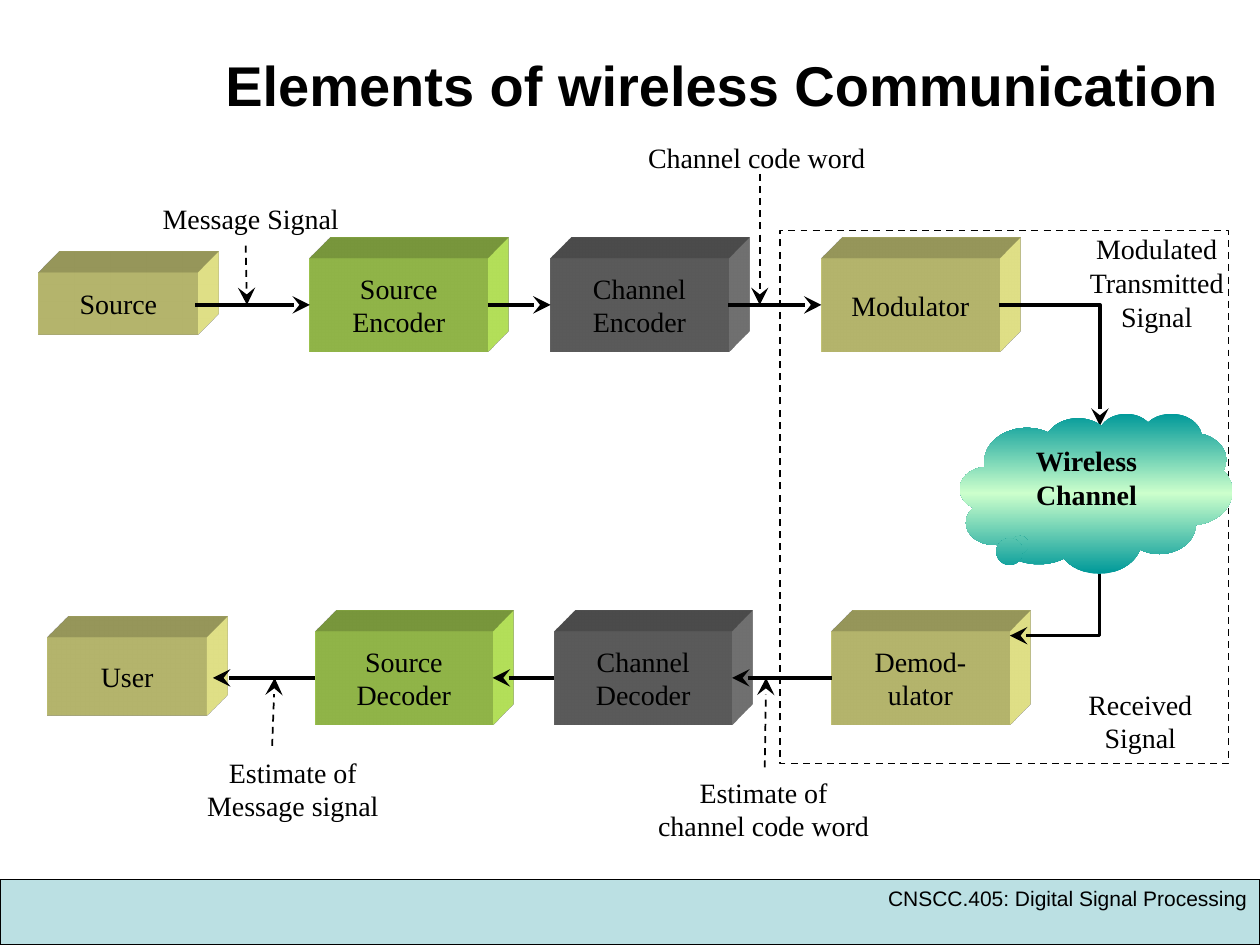
from copy import deepcopy

from lxml import etree
from pptx import Presentation
from pptx.dml.color import RGBColor
from pptx.enum.dml import MSO_LINE
from pptx.enum.shapes import MSO_CONNECTOR as CONN, MSO_SHAPE as SHAPE
from pptx.enum.text import MSO_ANCHOR as ANCHOR, PP_ALIGN as ALIGN
from pptx.oxml import parse_xml
from pptx.oxml.ns import nsdecls, qn
from pptx.util import Inches, Pt

KHAKI, LIME, GRAY = "FFFF99", "CCFF66", "808080"
BLACK, TEAL, MINT, FOOTER = "000000", "009999", "CCFFCC", "BBE0E3"
BOX_W, BOX_H = 1.41, 0.74
TOP_Y, BOTTOM_Y = 2.42, 5.38  # centre lines of the two chains
LEFT, RIGHT = 1, 3  # connection sites


def color(value):
    return RGBColor.from_string(value)


def inches(*values):
    return [Inches(v) for v in values]


def set_text(sp, text, size=16, font="Times New Roman", bold=False,
             align=ALIGN.CENTER, anchor=ANCHOR.MIDDLE):
    tf = sp.text_frame
    tf.word_wrap = True
    tf.vertical_anchor = anchor
    for i, line in enumerate(text.split("\n")):
        p = tf.paragraphs[0] if i == 0 else tf.add_paragraph()
        p.alignment = align
        r = p.add_run()
        r.text = line
        r.font.size, r.font.name, r.font.bold = Pt(size), font, bold
        r.font.color.rgb = color(BLACK)


def label(slide, text, *at, **fmt):
    set_text(slide.shapes.add_textbox(*inches(*at)), text, **fmt)


def style_line(line, width, dashed=False):
    line.color.rgb = color(BLACK)
    line.width = Pt(width)
    if dashed:
        line.dash_style = MSO_LINE.DASH


def shape(slide, kind, *at, fill=None):
    s = slide.shapes.add_shape(kind, *inches(*at))
    s.shadow.inherit = False
    s.line.fill.background()
    if fill:
        s.fill.solid()
        s.fill.fore_color.rgb = color(fill)
    else:
        s.fill.background()
    return s


def block(slide, text, fill, left, mid_y, width=BOX_W, height=BOX_H):
    """A box with an oblique extrusion towards the top right."""
    s = shape(slide, SHAPE.RECTANGLE, left, mid_y - height / 2, width, height, fill=fill)
    set_text(s, text)
    s._element.spPr.append(parse_xml(
        f'<a:scene3d {nsdecls("a")}><a:camera prst="legacyObliqueTopRight"/>'
        '<a:lightRig rig="legacyFlat3" dir="b"/></a:scene3d>'))
    s._element.spPr.append(parse_xml(
        f'<a:sp3d {nsdecls("a")} extrusionH="430200" prstMaterial="legacyMatte">'
        '<a:bevelT w="13500" h="13500" prst="angle"/>'
        '<a:bevelB w="13500" h="13500" prst="angle"/>'
        f'<a:extrusionClr><a:srgbClr val="{fill}"/></a:extrusionClr></a:sp3d>'))
    return s


def arrow(slide, start, end, kind=CONN.STRAIGHT, width=2, dashed=False):
    c = slide.shapes.add_connector(kind, *inches(*start, *end))
    style_line(c.line, width, dashed)
    etree.SubElement(c.line._get_or_add_ln(), qn("a:tailEnd"),
                     type="stealth", w="lg", len="lg")
    etree.SubElement(c._element.spPr, qn("a:effectLst"))
    return c


def elbow(slide, start, end, turn=0):
    """A one-corner arrow, turned clockwise by whole degrees."""
    c = arrow(slide, start, end, CONN.ELBOW)
    sp_pr = c._element.spPr
    sp_pr.find(qn("a:prstGeom")).set("prst", "bentConnector2")
    if turn:
        sp_pr.find(qn("a:xfrm")).set("rot", str(turn * 60000))


def cloud(slide):
    s = shape(slide, SHAPE.CLOUD_CALLOUT, 7.62, 3.28, 2.16, 1.27)
    s.adjustments[0], s.adjustments[1] = -0.27, 0.31
    s.fill.gradient()
    s.fill.gradient_angle = 90
    stops = s.fill.gradient_stops
    first = stops[0]._gs
    first.addnext(deepcopy(first))
    for stop, (pos, value) in zip(s.fill.gradient_stops,
                                  [(0, TEAL), (0.5, MINT), (1, TEAL)]):
        stop.position = pos
        stop.color.rgb = color(value)
    set_text(s, "Wireless Channel", bold=True, anchor=ANCHOR.TOP)


def transmitter(slide):
    block(slide, "Source", KHAKI, 0.31, 2.41, 1.26, 0.49)
    encoder = block(slide, "Source\nEncoder", LIME, 2.46, TOP_Y)
    channel = block(slide, "Channel\nEncoder", GRAY, 4.37, TOP_Y)
    modulator = block(slide, "Modulator", KHAKI, 6.52, TOP_Y)
    arrow(slide, (1.55, TOP_Y), (2.46, TOP_Y)).end_connect(encoder, LEFT)
    for a, b in [(encoder, channel), (channel, modulator)]:
        c = arrow(slide, (0, 0), (1, 0))
        c.begin_connect(a, RIGHT)
        c.end_connect(b, LEFT)
    elbow(slide, (7.93, TOP_Y), (8.73, 3.38))


def receiver(slide):
    block(slide, "User", KHAKI, 0.38, 5.37, 1.26, 0.62)
    decoder = block(slide, "Source\nDecoder", LIME, 2.5, BOTTOM_Y)
    channel = block(slide, "Channel\nDecoder", GRAY, 4.4, BOTTOM_Y)
    demodulator = block(slide, "Demod-\nulator", KHAKI, 6.6, BOTTOM_Y)
    arrow(slide, (2.5, BOTTOM_Y), (1.69, BOTTOM_Y)).begin_connect(decoder, LEFT)
    for a, b in [(demodulator, channel), (channel, decoder)]:
        c = arrow(slide, (1, 0), (0, 0))
        c.begin_connect(a, LEFT)
        c.end_connect(b, RIGHT)


def main():
    prs = Presentation()
    prs.slide_width, prs.slide_height = inches(10, 7.5)
    slide = prs.slides.add_slide(prs.slide_layouts[6])

    # The two processing chains
    receiver(slide)
    transmitter(slide)

    # Signal names and their dashed pointers
    for text, *at in [
        ("Estimate of\nMessage signal", 0.59, 6, 3.47, 0.52),
        ("Estimate of\nchannel code word", 4.85, 6.16, 2.42, 0.52),
        ("Received\nSignal", 8.43, 5.46, 1.24, 0.52),
        ("Channel code word", 4.76, 0.99, 2.49, 0.52),
        ("Message Signal", 0.9, 1.47, 2.18, 0.52),
        ("Modulated\nTransmitted Signal", 8.37, 1.98, 1.62, 0.52),
    ]:
        label(slide, text, *at)
    for start, end in [
        ((2.16, 5.92), (2.18, BOTTOM_Y)),
        ((6.07, 6.09), (6.08, BOTTOM_Y)),
        ((1.95, 1.95), (1.96, TOP_Y)),
        ((6.03, 1.38), (6.03, TOP_Y)),
    ]:
        arrow(slide, start, end, width=1, dashed=True)

    # Wireless section
    frame = shape(slide, SHAPE.RECTANGLE, 6.19, 1.83, 3.56, 4.23)
    style_line(frame.line, 1, dashed=True)
    elbow(slide, (7.86, 4.18), (8.88, 4.89), turn=90)
    cloud(slide)

    # Title and footer
    label(slide, "Elements of wireless Communication", 1.69, 0.04, 8.13, 1.25,
          size=32, font="Arial", bold=True, align=ALIGN.LEFT)
    footer = shape(slide, SHAPE.RECTANGLE, 0, 6.98, 10, 0.52, fill=FOOTER)
    style_line(footer.line, 0.75)
    set_text(footer, "CNSCC.405: Digital Signal Processing", size=12, font="Arial",
             align=ALIGN.RIGHT, anchor=ANCHOR.TOP)

    prs.save("out.pptx")


if __name__ == "__main__":
    main()
